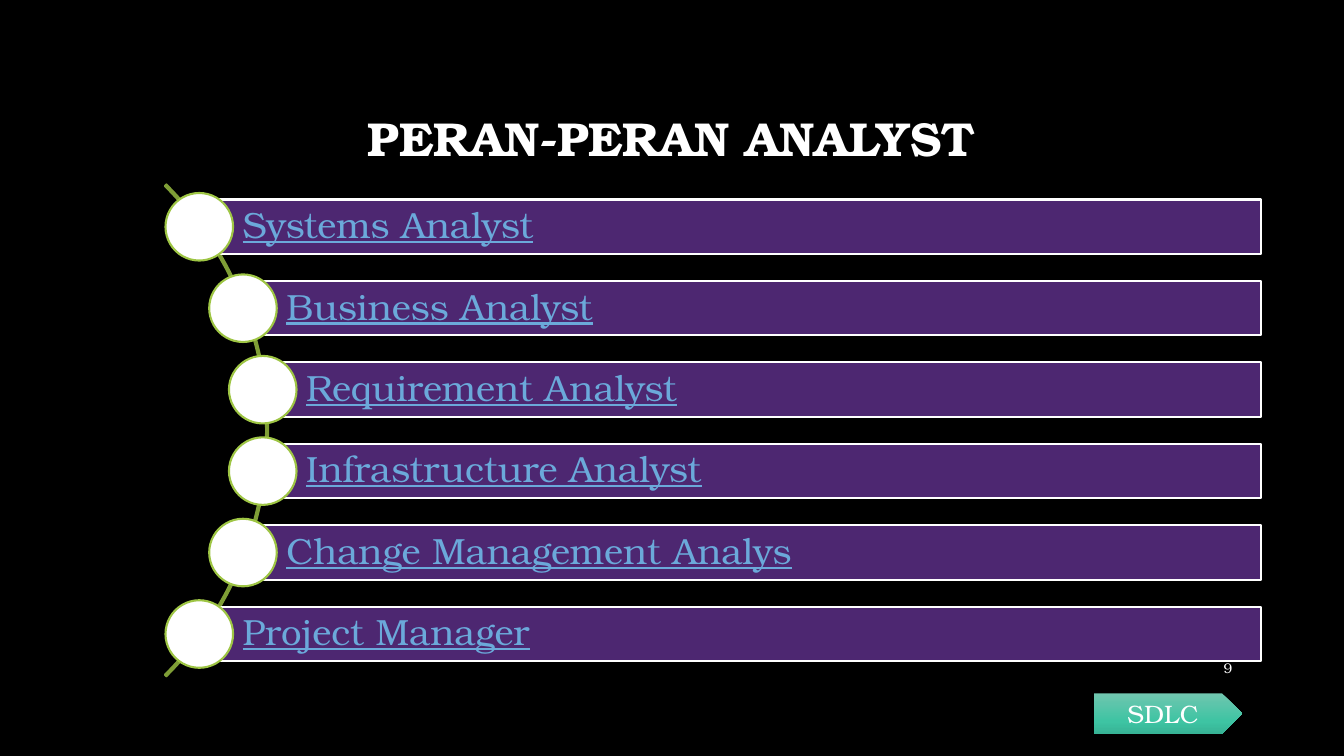
from copy import deepcopy
from math import sqrt

from pptx import Presentation
from pptx.dml.color import RGBColor
from pptx.enum.shapes import MSO_SHAPE
from pptx.enum.text import MSO_ANCHOR, PP_ALIGN
from pptx.util import Pt

RECT, OVAL = MSO_SHAPE.RECTANGLE, MSO_SHAPE.OVAL
ARC, ARROW = MSO_SHAPE.BLOCK_ARC, MSO_SHAPE.PENTAGON
MIDDLE = MSO_ANCHOR.MIDDLE
LEFT, CENTER, RIGHT = PP_ALIGN.LEFT, PP_ALIGN.CENTER, PP_ALIGN.RIGHT

TITLE = "PERAN-PERAN ANALYST"
ROLES = [
    "Systems Analyst",
    "Business Analyst",
    "Requirement Analyst",
    "Infrastructure Analyst",
    "Change Management Analys",
    "Project Manager",
]
PAGE = "9"
BUTTON = "SDLC"
SHADES = [(0, "70C6AF"), (0.69, "3EC4A3"), (1, "37B395")]

FONT = "TeX Gyre Bonum"
WHITE, BLACK, PURPLE, BLUE = "FFFFFF", "000000", "4D2771", "6BA9DA"
OLIVE, GREEN = "7F9E36", "9EC544"

# Lengths in px, 100 to the inch
SCALE = 9144
ARC_BOX = (-424, 82, 690, 690)
RADIUS, AXIS = 345, -82      # circle on which the dots sit
TOP, BOTTOM = 225, 629       # centres of the first and last rows
MID = (TOP + BOTTOM) / 2
BAR_END, BAR_H, DOT = 1251, 54, 67


def px(n):
    return round(n * SCALE)


def color(code):
    return RGBColor.from_string(code)


def add_part(kind, box, fill=None, line=None):
    part = slide.shapes.add_shape(kind, *map(px, box))
    part.shadow.inherit = False
    if fill:
        part.fill.solid()
        part.fill.fore_color.rgb = color(fill)
    else:
        part.fill.background()
    if line:
        part.line.color.rgb = color(line)
        part.line.width = Pt(1.5)
    else:
        part.line.fill.background()
    return part


def add_box(box):
    return slide.shapes.add_textbox(*map(px, box))


def write(part, text, size, align, ink=WHITE, pads=(10, 5, 10, 5),
          bold=False, under=False, space=1.0):
    frame = part.text_frame
    frame.word_wrap = True
    frame.vertical_anchor = MIDDLE
    (frame.margin_left, frame.margin_top,
     frame.margin_right, frame.margin_bottom) = map(px, pads)
    para = frame.paragraphs[0]
    para.alignment = align
    para.line_spacing = space
    run = para.add_run()
    run.text = text
    font = run.font
    font.name, font.size = FONT, Pt(size)
    font.bold, font.underline = bold, under
    font.color.rgb = color(ink)


def shade(part, shades):
    """Fill a part from top to bottom with three or more colours."""
    fill = part.fill
    fill.gradient()
    fill.gradient_angle = 270
    stops = part.element.xpath(".//a:gsLst")[0]
    while len(stops) < len(shades):
        stops.append(deepcopy(stops[0]))
    for stop, (place, code) in zip(fill.gradient_stops, shades):
        stop.position = place
        stop.color.rgb = color(code)


deck = Presentation()
deck.slide_width, deck.slide_height = px(1333), px(750)
slide = deck.slides.add_slide(deck.slide_layouts[6])
slide.background.fill.solid()
slide.background.fill.fore_color.rgb = color(BLACK)

write(add_box((100, 67, 1132, 145)), TITLE, 34, CENTER, bold=True, space=0.9)

arc = add_part(ARC, ARC_BOX, line=OLIVE)
for i, value in enumerate((189, 27, 0.003)):
    arc.adjustments[i] = value

step = (BOTTOM - TOP) / (len(ROLES) - 1)
for i, role in enumerate(ROLES):
    y = TOP + i * step
    x = AXIS + sqrt(RADIUS ** 2 - (y - MID) ** 2)
    bar = add_part(RECT, (x, y - BAR_H / 2, BAR_END - x, BAR_H), PURPLE, WHITE)
    write(bar, role, 26, LEFT, BLUE, (43, 7, 7, 7), under=True, space=0.9)
    add_part(OVAL, (x - DOT / 2, y - DOT / 2, DOT, DOT), WHITE, GREEN)

write(add_box((1150, 643, 82, 40)), PAGE, 10, RIGHT)

button = add_part(ARROW, (1085, 688, 147, 40))
shade(button, SHADES)
write(button, BUTTON, 18, CENTER)

deck.save("out.pptx")
